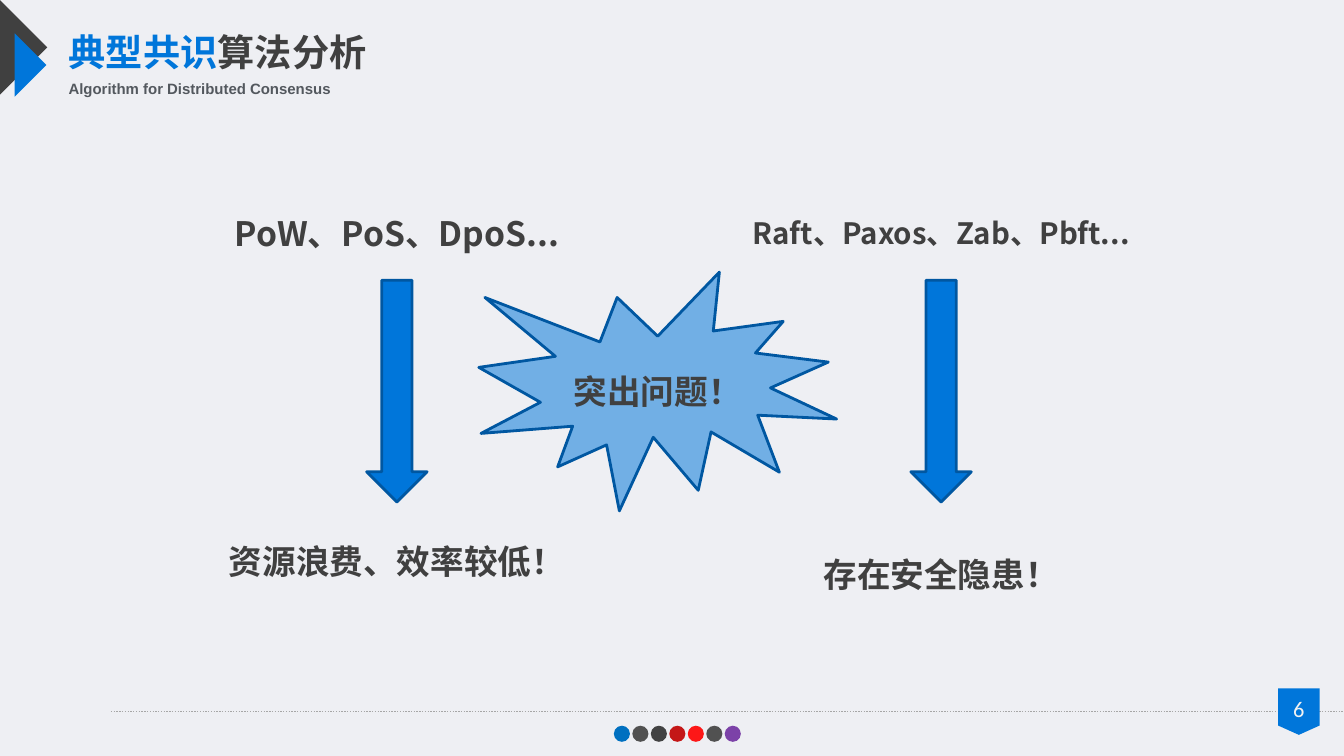
"""Build a slide that contrasts the main problems of two families of consensus algorithms."""
from lxml import etree
from pptx import Presentation
from pptx.dml.color import RGBColor
from pptx.enum.dml import MSO_LINE
from pptx.enum.shapes import MSO_CONNECTOR, MSO_SHAPE
from pptx.enum.text import MSO_ANCHOR, PP_ALIGN
from pptx.oxml.ns import qn
from pptx.util import Pt

STRAIGHT = MSO_CONNECTOR.STRAIGHT
DOTTED = MSO_LINE.ROUND_DOT
OVAL = MSO_SHAPE.OVAL
BURST = MSO_SHAPE.EXPLOSION1
DOWN_ARROW = MSO_SHAPE.DOWN_ARROW
PAGE_TAG = MSO_SHAPE.FLOWCHART_OFFPAGE_CONNECTOR
LEFT, CENTER = PP_ALIGN.LEFT, PP_ALIGN.CENTER
TOP, MIDDLE = MSO_ANCHOR.TOP, MSO_ANCHOR.MIDDLE

CJK_FONT = "Noto Sans CJK SC"
COLORS = {
    "background": "EEEFF3",
    "blue": "0076DA",
    "outline": "0057A1",
    "dark": "404040",
    "subtitle": "53585E",
    "rule": "A6A6A6",
    "page_number": "F2F2F2",
    "dot_blue": "0070C0",
    "dot_black": "303030",
    "dot_crimson": "C00000",
    "dot_red": "FF0000",
    "dot_purple": "7030A0",
}
DOTS = [("dot_blue", 100), ("dark", 90), ("dot_black", 90), ("dot_crimson", 90),
        ("dot_red", 90), ("dark", 90), ("dot_purple", 90)]
LABEL_WIDTH, LABEL_HEIGHT = 286, 42
ARROW_WIDTH = 43.2


def rgb(name):
    return RGBColor.from_string(COLORS[name])


def paint(shape, fill, outline=None, opacity=100):
    shape.shadow.inherit = False
    shape.fill.solid()
    shape.fill.fore_color.rgb = rgb(fill)
    if opacity < 100:
        color = shape.fill._xPr.find(qn("a:solidFill"))[0]
        etree.SubElement(color, qn("a:alpha"), val=str(opacity * 1000))
    if outline:
        shape.line.color.rgb = rgb(outline)
        shape.line.width = Pt(2)
    else:
        shape.line.fill.background()


def add_preset(page, kind, left, top, width, height, fill, outline=None, opacity=100):
    shape = page.shapes.add_shape(kind, Pt(left), Pt(top), Pt(width), Pt(height))
    paint(shape, fill, outline, opacity)


def add_corner(page, left, top, width, height, fill):
    builder = page.shapes.build_freeform(Pt(left), Pt(top))
    points = [(left + width, top + height / 2), (left, top + height)]
    builder.add_line_segments([(Pt(x), Pt(y)) for x, y in points], close=True)
    paint(builder.convert_to_shape(), fill)


def add_text(page, left, top, width, height, spans, size, font,
             align=LEFT, anchor=TOP, bold=True, margins=(0, 0), wrap=True):
    box = page.shapes.add_textbox(Pt(left), Pt(top), Pt(width), Pt(height))
    frame = box.text_frame
    frame.word_wrap = wrap
    frame.vertical_anchor = anchor
    frame.margin_left = frame.margin_right = Pt(margins[0])
    frame.margin_top = frame.margin_bottom = Pt(margins[1])
    para = frame.paragraphs[0]
    para.alignment = align
    for words, color in spans:
        span = para.add_run()
        span.text = words
        span.font.size = Pt(size)
        span.font.bold = bold
        span.font.name = font
        span.font.color.rgb = rgb(color)
        etree.SubElement(span.font._element, qn("a:ea"), typeface=CJK_FONT)
    return para


def add_label(page, center, top, words, size=24):
    add_text(page, center - LABEL_WIDTH / 2, top, LABEL_WIDTH, LABEL_HEIGHT,
             [(words, "dark")], size, CJK_FONT, CENTER, MIDDLE, margins=(7.2, 3.6))


def add_rule(page, left, right, top):
    rule = page.shapes.add_connector(STRAIGHT, Pt(left), Pt(top), Pt(right), Pt(top))
    rule.line.color.rgb = rgb("rule")
    rule.line.width = Pt(1)
    rule.line.dash_style = DOTTED
    etree.SubElement(rule._element.spPr, qn("a:effectLst"))


def add_footer(page):
    add_rule(page, 79.2, 960, 508.3)
    add_preset(page, PAGE_TAG, 913, 491.8, 29.5, 33.1, "blue")
    number = add_text(page, 906.5, 495.4, 42.5, 24.5, [("6", "page_number")], 16, "Calibri",
                      CENTER, bold=False, margins=(7.2, 3.6))
    number.line_spacing = 0.9
    number.space_before = Pt(10)
    for index, (color, opacity) in enumerate(DOTS):
        add_preset(page, OVAL, 438.5 + 13.2 * index, 518.4, 11.5, 11.5, color, opacity=opacity)


def add_header(page):
    add_corner(page, 0, 0, 33.8, 67.7, "dark")
    add_corner(page, 10.5, 23.8, 22.7, 45.3, "blue")
    add_text(page, 49, 20.9, 213.8, 32.4, [("典型共识", "blue"), ("算法分析", "dark")],
             26.6, "Arial Narrow", wrap=False)
    add_text(page, 49, 56.9, 189.4, 13,
             [("Algorithm for Distributed Consensus", "subtitle")], 10.7, "Arial")


def main():
    deck = Presentation()
    deck.slide_width, deck.slide_height = Pt(960), Pt(540)
    page = deck.slides.add_slide(deck.slide_layouts[6])
    page.background.fill.solid()
    page.background.fill.fore_color.rgb = rgb("background")
    add_footer(page)
    add_header(page)
    columns = [
        (283.5, "PoW、PoS、DpoS...", 24, "资源浪费、效率较低！", 379.5),
        (672.2, "Raft、Paxos、Zab、Pbft...", 21, "存在安全隐患！", 388.8),
    ]
    for center, algorithms, size, problem, problem_top in columns:
        add_label(page, center, 145.5, algorithms, size)
        add_label(page, center, problem_top, problem)
        add_preset(page, DOWN_ARROW, center - ARROW_WIDTH / 2, 200.2,
                   ARROW_WIDTH, 158.4, "blue", "outline")
    add_preset(page, BURST, 342, 194.4, 255.6, 170.6, "blue", "outline", 52)
    add_label(page, 469.8, 258.5, "突出问题！")
    deck.save("out.pptx")


if __name__ == "__main__":
    main()
